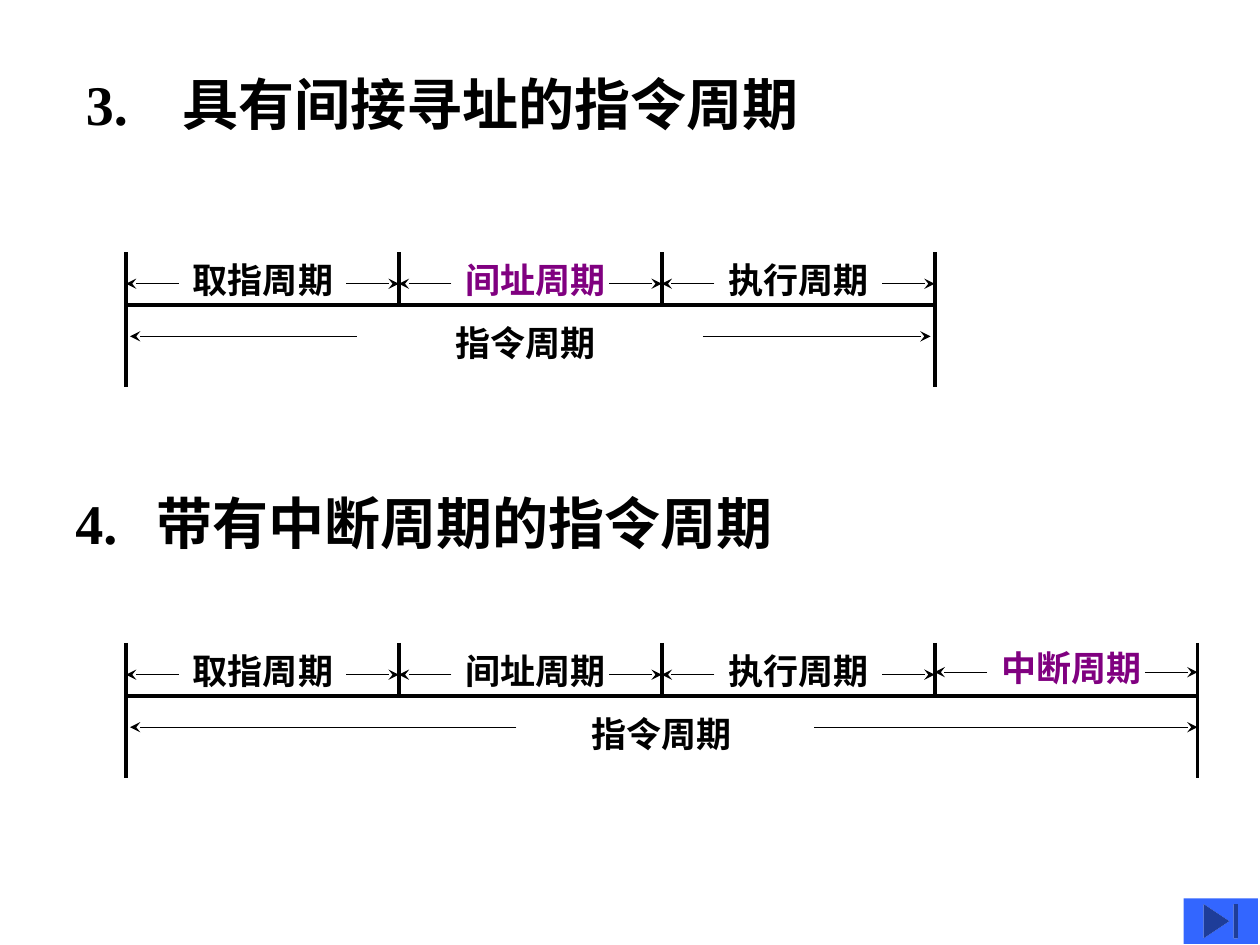
from itertools import accumulate

from lxml.etree import SubElement
from pptx import Presentation
from pptx.dml.color import RGBColor
from pptx.enum.shapes import MSO_CONNECTOR, MSO_SHAPE
from pptx.enum.text import MSO_AUTO_SIZE
from pptx.oxml.ns import qn
from pptx.util import Cm, Pt

BLACK = RGBColor(0, 0, 0)
PURPLE = RGBColor(0x80, 0, 0x80)
BLUE = RGBColor(0x33, 0x66, 0xFF)
FONT = "Times New Roman"

LABEL_W, LABEL_H = 3.34, 1.09
LABEL_INDENT = 1.1
TICK_H, END_H = 1.07, 2.72
STUB = 1.06
STUB_Y, TOTAL_Y, TOTAL_LABEL_Y = 0.64, 1.7, 1.27
TOTAL_INSET = 0.08


def add_text(shapes, text, x, y, w, h, *, size=20, color=BLACK, wrap=False):
    sp = shapes.add_textbox(Cm(x), Cm(y), Cm(w), Cm(h))
    tf = sp.text_frame
    tf.word_wrap = wrap
    tf.auto_size = MSO_AUTO_SIZE.SHAPE_TO_FIT_TEXT
    p = tf.paragraphs[0]
    r = p.add_run()
    r.text = text
    r.font.name, r.font.size, r.font.bold = FONT, Pt(size), True
    r.font.color.rgb = color
    return p


def add_line(shapes, x1, y1, x2, y2, *, width=2.25, arrow=False):
    cx = shapes.add_connector(MSO_CONNECTOR.STRAIGHT, Cm(x1), Cm(y1), Cm(x2), Cm(y2))
    cx.line.color.rgb = BLACK
    cx.line.width = Pt(width)
    if arrow:
        SubElement(cx.line._get_or_add_ln(), qn("a:tailEnd"), type="stealth")
    SubElement(cx._element.spPr, qn("a:effectLst"))


def add_arrow(shapes, x1, x2, y):
    add_line(shapes, x1, y, x2, y, width=0.75, arrow=True)


def add_heading(s, number, title, x, y, indent):
    p = add_text(s.shapes, f"{number}\t{title}", x, y, 15.88, 1.6, size=32, wrap=True)
    pPr = p._p.get_or_add_pPr()
    pPr.set("marL", str(Cm(indent)))
    pPr.set("indent", str(-Cm(indent)))


def add_timeline(s, x, y, cycles, total_label_x, left_stop, right_start, right_gap):
    shapes = s.shapes.add_group_shape().shapes
    edges = list(accumulate((width for _, width, _, _ in cycles), initial=x))
    end = edges[-1]

    add_line(shapes, x, y + TICK_H, end, y + TICK_H)
    for edge in edges:
        height = END_H if edge in (x, end) else TICK_H
        add_line(shapes, edge, y, edge, y + height)

    for (name, _, color, lift), left, right in zip(cycles, edges, edges[1:]):
        top = y - lift
        add_text(shapes, name, left + LABEL_INDENT, top, LABEL_W, LABEL_H, color=color)
        add_arrow(shapes, left + STUB, left, top + STUB_Y)
        add_arrow(shapes, right - STUB, right, top + STUB_Y)

    add_text(shapes, "指令周期", x + total_label_x, y + TOTAL_LABEL_Y, LABEL_W, LABEL_H)
    add_arrow(shapes, x + left_stop, x + TOTAL_INSET, y + TOTAL_Y)
    add_arrow(shapes, x + right_start, end - right_gap, y + TOTAL_Y)


def add_end_button(s, x, y, w, h):
    sp = s.shapes.add_shape(MSO_SHAPE.ACTION_BUTTON_END, Cm(x), Cm(y), Cm(w), Cm(h))
    sp.shadow.inherit = False
    sp.fill.solid()
    sp.fill.fore_color.rgb = BLUE
    sp.line.fill.background()


def main():
    prs = Presentation()
    prs.slide_width, prs.slide_height = Cm(25.4), Cm(19.05)
    s = prs.slides.add_slide(prs.slide_layouts[6])

    fetch = ("取指周期", 5.5, BLACK, 0)
    execute = ("执行周期", 5.5, BLACK, 0)
    interrupt = ("中断周期", 5.3, PURPLE, 0.05)

    add_heading(s, "3.", "具有间接寻址的指令周期", 1.48, 1.27, 1.94)
    add_timeline(s, 2.54, 5.08, [fetch, ("间址周期", 5.3, PURPLE, 0), execute],
                 6.4, 4.65, 11.63, TOTAL_INSET)

    add_heading(s, "4.", "带有中断周期的指令周期", 1.27, 9.73, 1.64)
    add_timeline(s, 2.54, 12.96, [fetch, ("间址周期", 5.3, BLACK, 0), execute, interrupt],
                 9.14, 7.87, 13.87, 0)

    add_end_button(s, 23.86, 18.11, 1.5, 0.92)
    prs.save("out.pptx")


if __name__ == "__main__":
    main()
